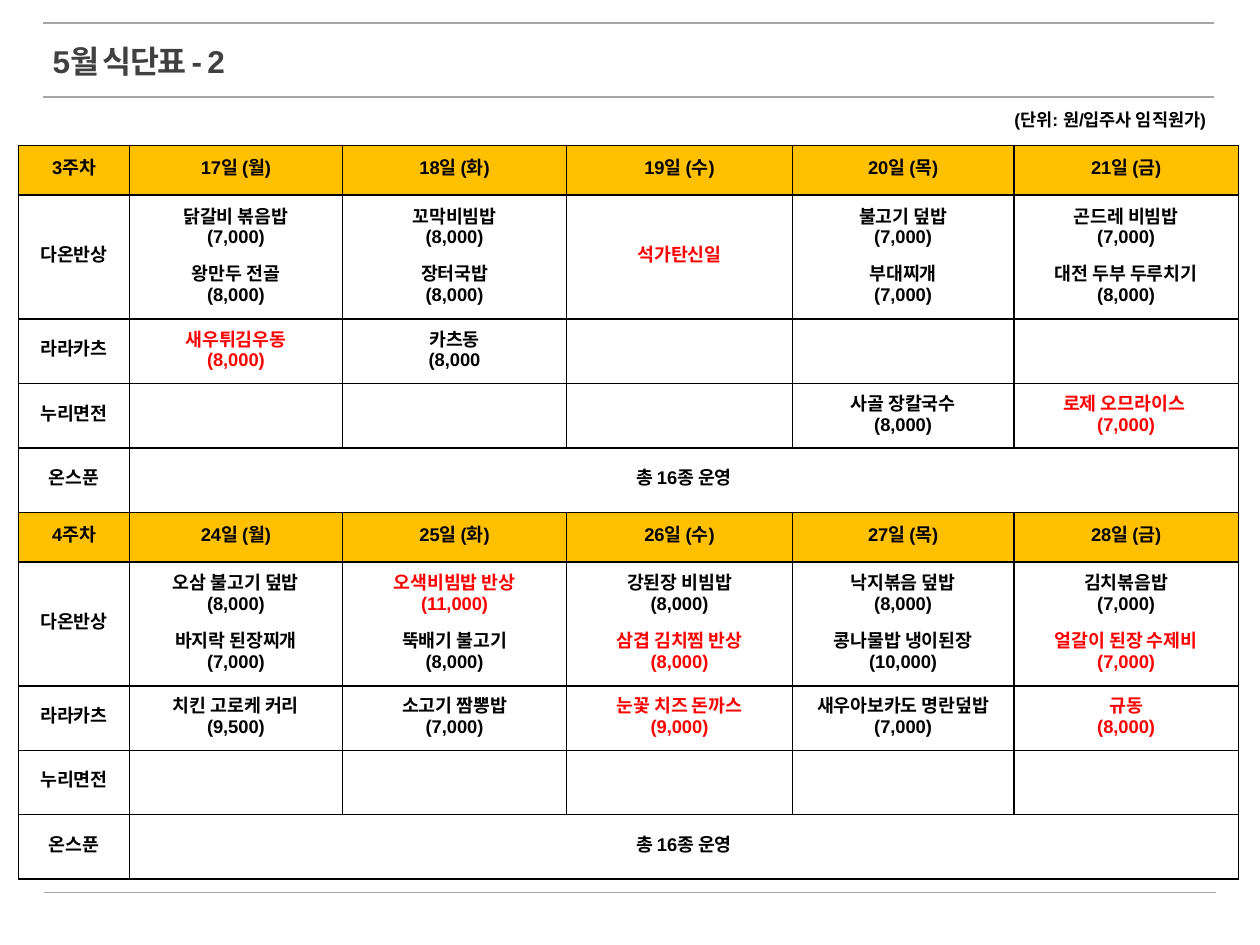
from dataclasses import dataclass

from lxml import etree
from pptx import Presentation
from pptx.dml.color import RGBColor
from pptx.enum import shapes, text
from pptx.oxml.ns import qn
from pptx.util import Pt


@dataclass(frozen=True)
class Theme:
    font: str = "Arial"
    ink: str = "000000"
    title: str = "404040"
    accent: str = "FF0000"
    header: str = "FFC000"
    paper: str = "FFFFFF"
    rule: str = "A6A6A6"
    title_size: float = 18
    cell_size: float = 10.5
    note_size: float = 10
    leading: float = 11


HIGHLIGHT = "*"  # marks a dish set in the accent colour
COLUMNS = [63.4, 121.7, 128.2, 128.9, 126.7, 128.2]
WEEK_ROWS = [28.3, 70.9, 36.8, 36.8, 36.8]
NO_DISH = [[]] * 5
SPOON_NOTE = "총 16종 운영"

# Each dish is "name|price"; each cell is a list of dishes.
WEEKS = [
    ("3주차", 17, [
        ("다온반상", [
            ["닭갈비 볶음밥|(7,000)", "왕만두 전골|(8,000)"],
            ["꼬막비빔밥|(8,000)", "장터국밥|(8,000)"],
            ["*석가탄신일"],
            ["불고기 덮밥|(7,000)", "부대찌개|(7,000)"],
            ["곤드레 비빔밥|(7,000)", "대전 두부 두루치기|(8,000)"],
        ]),
        ("라라카츠", [["*새우튀김우동|(8,000)"], ["카츠동|(8,000"], [], [], []]),
        ("누리면전", [[], [], [], ["사골 장칼국수|(8,000)"],
                  ["*로제 오므라이스 |(7,000)"]]),
    ]),
    ("4주차", 24, [
        ("다온반상", [
            ["오삼 불고기 덮밥|(8,000)", "바지락 된장찌개|(7,000)"],
            ["*오색비빔밥 반상|(11,000)", "뚝배기 불고기|(8,000)"],
            ["강된장 비빔밥|(8,000)", "*삼겹 김치찜 반상|(8,000)"],
            ["낙지볶음 덮밥|(8,000)", "콩나물밥 냉이된장|(10,000)"],
            ["김치볶음밥|(7,000)", "*얼갈이 된장 수제비|(7,000)"],
        ]),
        ("라라카츠", [["치킨 고로케 커리|(9,500)"], ["소고기 짬뽕밥|(7,000)"],
                  ["*눈꽃 치즈 돈까스|(9,000)"], ["새우아보카도 명란덮밥|(7,000)"],
                  ["*규동|(8,000)"]]),
        ("누리면전", NO_DISH),
    ]),
]


class MenuSlide:
    def __init__(self, slide, theme):
        self.slide = slide
        self.theme = theme

    def format_run(self, r, size, color):
        r.font.name = self.theme.font
        r.font.size = Pt(size)
        r.font.bold = True
        r.font.color.rgb = RGBColor.from_string(color)

    def rule(self, left, top, width):
        line = self.slide.shapes.add_connector(
            shapes.MSO_CONNECTOR.STRAIGHT,
            Pt(left), Pt(top), Pt(left + width), Pt(top))
        line.line.color.rgb = RGBColor.from_string(self.theme.rule)
        line.line.width = Pt(1)
        etree.SubElement(line._element.spPr, qn("a:effectLst"))

    def label(self, content, box, size, color, align, spacing=0):
        sp = self.slide.shapes.add_textbox(*map(Pt, box))
        tf = sp.text_frame
        tf.word_wrap = True
        tf.text = content
        p = tf.paragraphs[0]
        p.alignment = align
        r = p.runs[0]
        self.format_run(r, size, color)
        if spacing:
            r._r.get_or_add_rPr().set("spc", str(spacing * 100))

    def border(self, cell):
        tc_pr = cell._tc.get_or_add_tcPr()
        for side in ("lnL", "lnR", "lnT", "lnB"):
            ln = etree.SubElement(tc_pr, qn(f"a:{side}"), w=str(Pt(1)))
            fill = etree.SubElement(ln, qn("a:solidFill"))
            etree.SubElement(fill, qn("a:srgbClr"), val=self.theme.ink)

    def cell(self, cell, dishes, fill):
        """Fill a cell; dishes after the first stand one line apart."""
        self.border(cell)
        cell.fill.solid()
        cell.fill.fore_color.rgb = RGBColor.from_string(fill)
        cell.vertical_anchor = text.MSO_ANCHOR.MIDDLE
        tf = cell.text_frame
        tf.text = "\n".join(dishes).replace("|", "\n").replace(HIGHLIGHT, "")
        paragraphs = iter(tf.paragraphs)
        for number, dish in enumerate(dishes):
            color = self.theme.accent if dish.startswith(HIGHLIGHT) else self.theme.ink
            for part in range(len(dish.split("|"))):
                p = next(paragraphs)
                p.alignment = text.PP_ALIGN.CENTER
                p.line_spacing = Pt(self.theme.leading)
                if number and part == 0:
                    p.space_before = Pt(self.theme.leading)
                self.format_run(p.runs[0], self.theme.cell_size, color)

    def menu_table(self, left, top, weeks):
        heights = WEEK_ROWS * len(weeks)
        table = self.slide.shapes.add_table(
            len(heights), len(COLUMNS), Pt(left), Pt(top),
            Pt(sum(COLUMNS)), Pt(sum(heights))).table
        for column, width in zip(table.columns, COLUMNS):
            column.width = Pt(width)
        for row, height in zip(table.rows, heights):
            row.height = Pt(height)

        for index, (week, first_day, counters) in enumerate(weeks):
            first_row = index * len(WEEK_ROWS)
            days = [[f"{first_day + i}일 ({name})"] for i, name in enumerate("월화수목금")]
            spoon = ("온스푼", [[SPOON_NOTE]] + NO_DISH[1:])
            for offset, (name, menus) in enumerate([(week, days), *counters, spoon]):
                fill = self.theme.paper if offset else self.theme.header
                for col, dishes in enumerate([[name], *menus]):
                    self.cell(table.cell(first_row + offset, col), dishes, fill)
            last_row = first_row + len(WEEK_ROWS) - 1
            table.cell(last_row, 1).merge(table.cell(last_row, len(COLUMNS) - 1))


def main():
    prs = Presentation()
    prs.slide_width, prs.slide_height = Pt(720), Pt(540)
    theme = Theme()
    s = MenuSlide(prs.slides.add_slide(prs.slide_layouts[6]), theme)

    for left, top in ((24.3, 13), (24.3, 55.6), (25.2, 510)):
        s.rule(left, top, 669.6)
    s.label("5월 식단표 - 2", (23, 20.2, 377, 29), theme.title_size,
            theme.title, text.PP_ALIGN.LEFT, spacing=-1)
    s.menu_table(10.6, 83.2, WEEKS)
    s.label("(단위: 원/입주사 임직원가)", (504, 59, 192.2, 19.4), theme.note_size,
            theme.ink, text.PP_ALIGN.RIGHT)
    prs.save("out.pptx")


if __name__ == "__main__":
    main()
